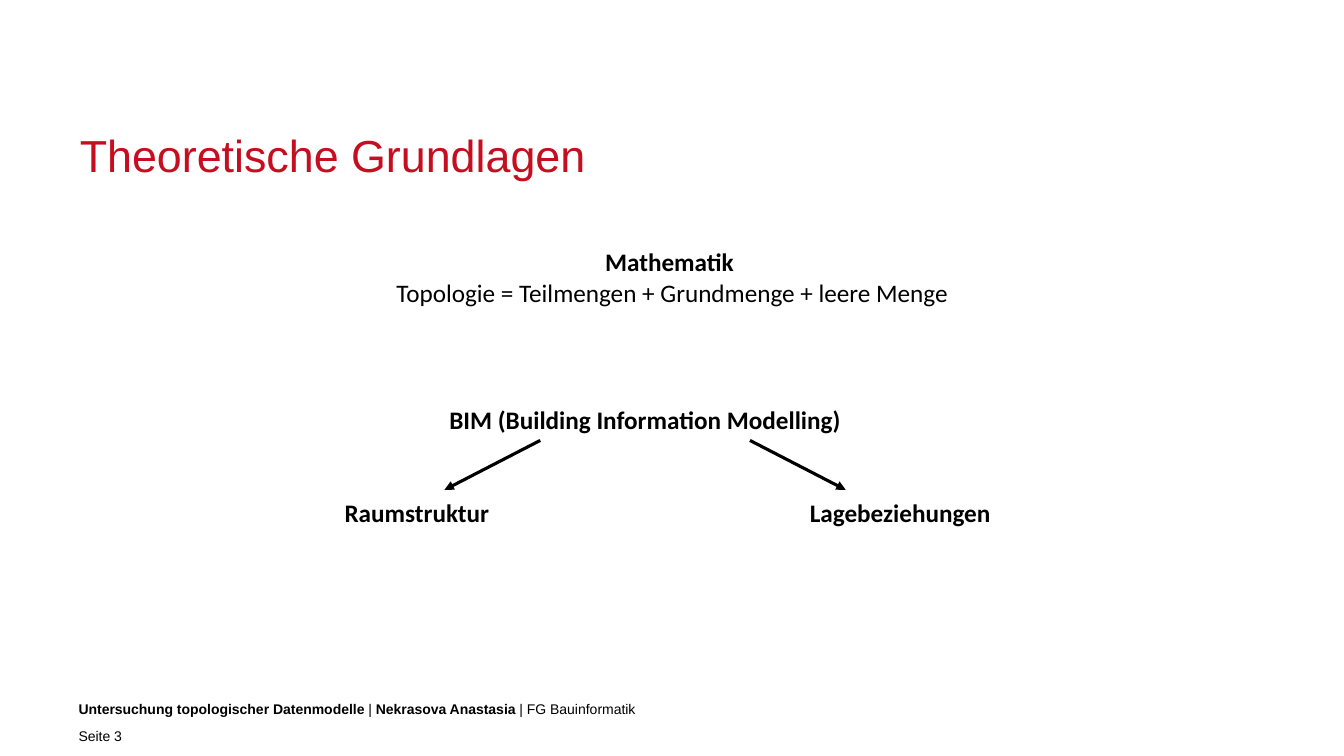
import pptx
import pptx.dml.color
import pptx.enum.shapes
import pptx.enum.text
import pptx.oxml.ns
import pptx.util
from dataclasses import dataclass
from lxml import etree

Pt = pptx.util.Pt
Align = pptx.enum.text.PP_ALIGN
Anchor = pptx.enum.text.MSO_ANCHOR


@dataclass(frozen=True)
class Theme:
    ink: str = "000000"
    accent: str = "C50E1F"
    frame_font: str = "Arial"
    body_font: str = "Calibri"
    title_size: float = 32
    body_size: float = 18
    footer_size: float = 10
    arrow_width: float = 2.25


class SlideBuilder:
    def __init__(self, slide, theme):
        self.slide = slide
        self.theme = theme

    def text(self, box, paragraphs, font, size, color, align=Align.LEFT,
             leading=None, inset=True, wrap=True, anchor=Anchor.TOP):
        """Each paragraph is a list of (wording, bold) runs."""
        frame = self.slide.shapes.add_textbox(*map(Pt, box)).text_frame
        frame.word_wrap = wrap
        frame.vertical_anchor = anchor
        if not inset:
            frame.margin_left = frame.margin_right = 0
            frame.margin_top = frame.margin_bottom = 0
        for index, runs in enumerate(paragraphs):
            paragraph = frame.add_paragraph() if index else frame.paragraphs[0]
            paragraph.alignment = align
            if leading:
                paragraph.line_spacing = Pt(leading)
            for wording, bold in runs:
                run = paragraph.add_run()
                run.text = wording
                run.font.name = font
                run.font.size = Pt(size)
                run.font.bold = bold
                run.font.color.rgb = pptx.dml.color.RGBColor.from_string(color)

    def title(self, box, wording):
        self.text(box, [[(wording, False)]], self.theme.frame_font,
                  self.theme.title_size, self.theme.accent, leading=30,
                  inset=False, anchor=Anchor.BOTTOM)

    def body(self, box, paragraphs):
        self.text(box, paragraphs, self.theme.body_font, self.theme.body_size,
                  self.theme.ink, Align.CENTER, leading=22, inset=False)

    def label(self, box, wording):
        self.text(box, [[(wording, True)]], self.theme.body_font,
                  self.theme.body_size, self.theme.ink, Align.CENTER, wrap=False)

    def footer(self, box, runs):
        self.text(box, [runs], self.theme.frame_font,
                  self.theme.footer_size, self.theme.ink)

    def arrow(self, start, end):
        connector = self.slide.shapes.add_connector(
            pptx.enum.shapes.MSO_CONNECTOR.STRAIGHT, *map(Pt, (*start, *end)))
        connector.line.width = Pt(self.theme.arrow_width)
        connector.line.color.rgb = pptx.dml.color.RGBColor.from_string(self.theme.ink)
        qn = pptx.oxml.ns.qn
        properties = connector.element.spPr
        etree.SubElement(properties.find(qn("a:ln")), qn("a:tailEnd"), type="triangle")
        etree.SubElement(properties, qn("a:effectLst"))


def main():
    deck = pptx.Presentation()
    deck.slide_width, deck.slide_height = Pt(960), Pt(540)
    page = SlideBuilder(deck.slides.add_slide(deck.slide_layouts[6]), Theme())

    # Title
    page.title((57, 100, 846, 30), "Theoretische Grundlagen")

    # Mathematical definition
    page.body((129.6, 175.7, 701.3, 89.3), [
        [("Mathematik ", True)],
        [("Topologie = Teilmengen + Grundmenge + leere Menge", False)],
    ])

    # BIM and its two branches
    page.label((312.5, 285.1, 296.6, 28.8), "BIM (Building Information Modelling)")
    branches = [
        ("Raumstruktur ", 238.3, 123.1, -1),
        ("Lagebeziehungen", 571, 144, 1),
    ]
    arrow_center, start_offset, end_offset = 460.8, 74.9, 143.3
    for branch, left, width, side in branches:
        page.label((left, 351.4, width, 28.8), branch)
        page.arrow((arrow_center + side * start_offset, 314.6),
                   (arrow_center + side * end_offset, 349.9))

    # Footer
    page.footer((49, 496.8, 599, 19.4), [
        ("Untersuchung topologischer Datenmodelle ", True),
        ("| ", False),
        ("Nekrasova Anastasia ", True),
        ("| FG Bauinformatik", False),
    ])
    page.footer((49, 516.2, 173.5, 19.4), [("Seite 3", False)])

    deck.save("out.pptx")


if __name__ == "__main__":
    main()
